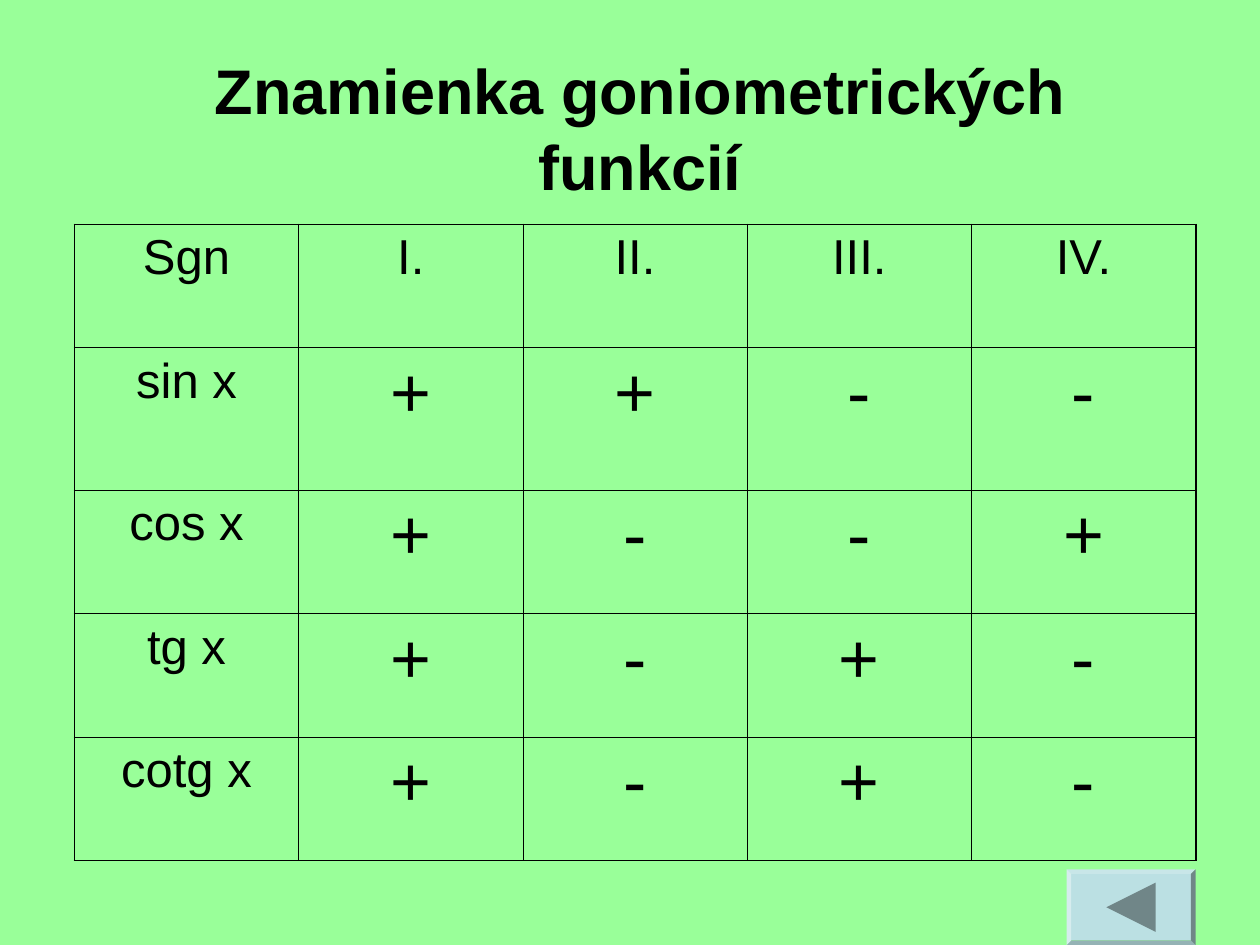
from lxml import etree
from pptx import Presentation
from pptx.dml.color import RGBColor
from pptx.enum.shapes import MSO_SHAPE
from pptx.enum.text import MSO_ANCHOR, PP_ALIGN
from pptx.oxml.ns import qn
from pptx.util import Pt

BEVEL = MSO_SHAPE.BEVEL
BOTTOM = MSO_ANCHOR.BOTTOM
CENTER = PP_ALIGN.CENTER

GREEN = RGBColor(0x99, 0xFF, 0x99)
BLACK = RGBColor(0, 0, 0)
PALE_BLUE = RGBColor(0xBB, 0xE0, 0xE3)
ARROW_GREY = RGBColor(0x70, 0x86, 0x88)

FONT = "Arial"
LABEL_SIZE, SIGN_SIZE = 28, 40
INNER, OUTER = 0.45, 1.08
COL_WIDTH = 128.16
ROW_HEIGHTS = [70.5, 81.5, 70.5, 70.5, 70.5]
SIGNS = [
    ["Sgn", "I.", "II.", "III.", "IV."],
    ["sin x", "+", "+", "-", "-"],
    ["cos x", "+", "-", "-", "+"],
    ["tg x", "+", "-", "+", "-"],
    ["cotg x", "+", "-", "+", "-"],
]


def format_text(tf, text, size, bold=False):
    tf.text = text
    p = tf.paragraphs[0]
    p.alignment = CENTER
    font = p.runs[0].font
    font.name, font.size, font.bold = FONT, Pt(size), bold
    font.color.rgb = BLACK


def add_title(slide, text):
    sp = slide.shapes.add_textbox(Pt(54), Pt(26), Pt(623.5), Pt(93.5))
    tf = sp.text_frame
    tf.word_wrap = True
    tf.vertical_anchor = BOTTOM
    format_text(tf, text, 36, bold=True)


def set_borders(cell, widths):
    """Draw the sides named in widths (L, R, T, B) with widths in points."""
    tc_pr = cell._tc.get_or_add_tcPr()
    for i, (side, width) in enumerate(widths.items()):
        ln = etree.Element(qn(f"a:ln{side}"), w=str(Pt(width)))
        fill = etree.SubElement(ln, qn("a:solidFill"))
        etree.SubElement(fill, qn("a:srgbClr"), val=str(BLACK))
        tc_pr.insert(i, ln)


def add_sign_table(slide, rows):
    n_rows, n_cols = len(rows), len(rows[0])
    table = slide.shapes.add_table(
        n_rows, n_cols, Pt(42.5), Pt(128.2),
        Pt(COL_WIDTH * n_cols), Pt(sum(ROW_HEIGHTS))).table
    table.first_row = table.horz_banding = False
    for col in table.columns:
        col.width = Pt(COL_WIDTH)
    for row, height in zip(table.rows, ROW_HEIGHTS):
        row.height = Pt(height)
    for r, texts in enumerate(rows):
        for c, text in enumerate(texts):
            cell = table.cell(r, c)
            cell.fill.background()
            size = SIGN_SIZE if r and c else LABEL_SIZE
            format_text(cell.text_frame, text, size)
            set_borders(cell, {
                "L": OUTER if c == 0 else INNER,
                "R": OUTER if c == n_cols - 1 else INNER,
                "T": OUTER if r == 0 else INNER,
                "B": OUTER if r == n_rows - 1 else INNER,
            })


def fill_plain(sp, color):
    sp.shadow.inherit = False
    sp.fill.solid()
    sp.fill.fore_color.rgb = color
    sp.line.fill.background()


def add_back_button(slide):
    button = slide.shapes.add_shape(
        BEVEL, Pt(609.6), Pt(496.8), Pt(73.6), Pt(43.2))
    button.adjustments[0] = 0.06
    fill_plain(button, PALE_BLUE)
    builder = slide.shapes.build_freeform(Pt(632.2), Pt(518.4))
    builder.add_line_segments(
        [(Pt(660.4), Pt(504.3)), (Pt(660.4), Pt(532.5))], close=True)
    fill_plain(builder.convert_to_shape(), ARROW_GREY)


def main():
    prs = Presentation()
    prs.slide_width, prs.slide_height = Pt(720), Pt(540)
    slide = prs.slides.add_slide(prs.slide_layouts[6])
    slide.background.fill.solid()
    slide.background.fill.fore_color.rgb = GREEN
    add_sign_table(slide, SIGNS)
    add_title(slide, "Znamienka goniometrických funkcií")
    add_back_button(slide)
    prs.save("out.pptx")


if __name__ == "__main__":
    main()
